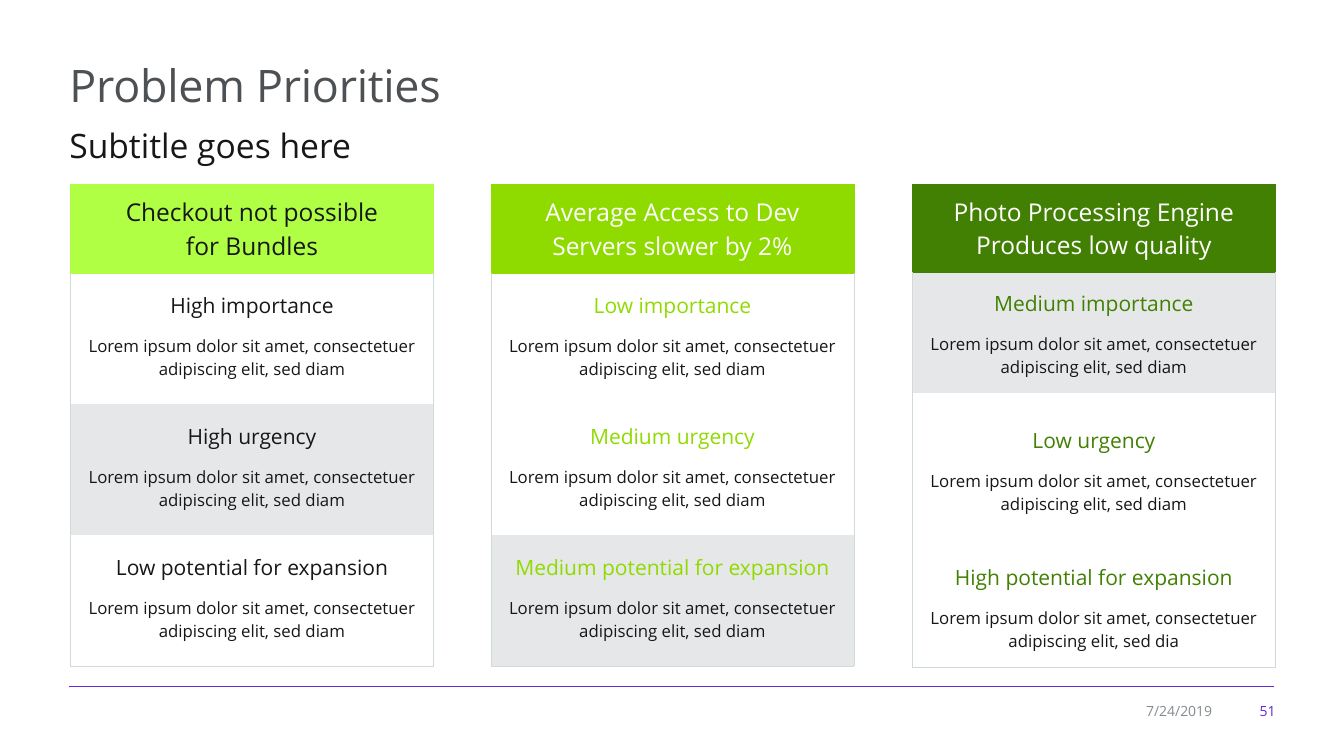
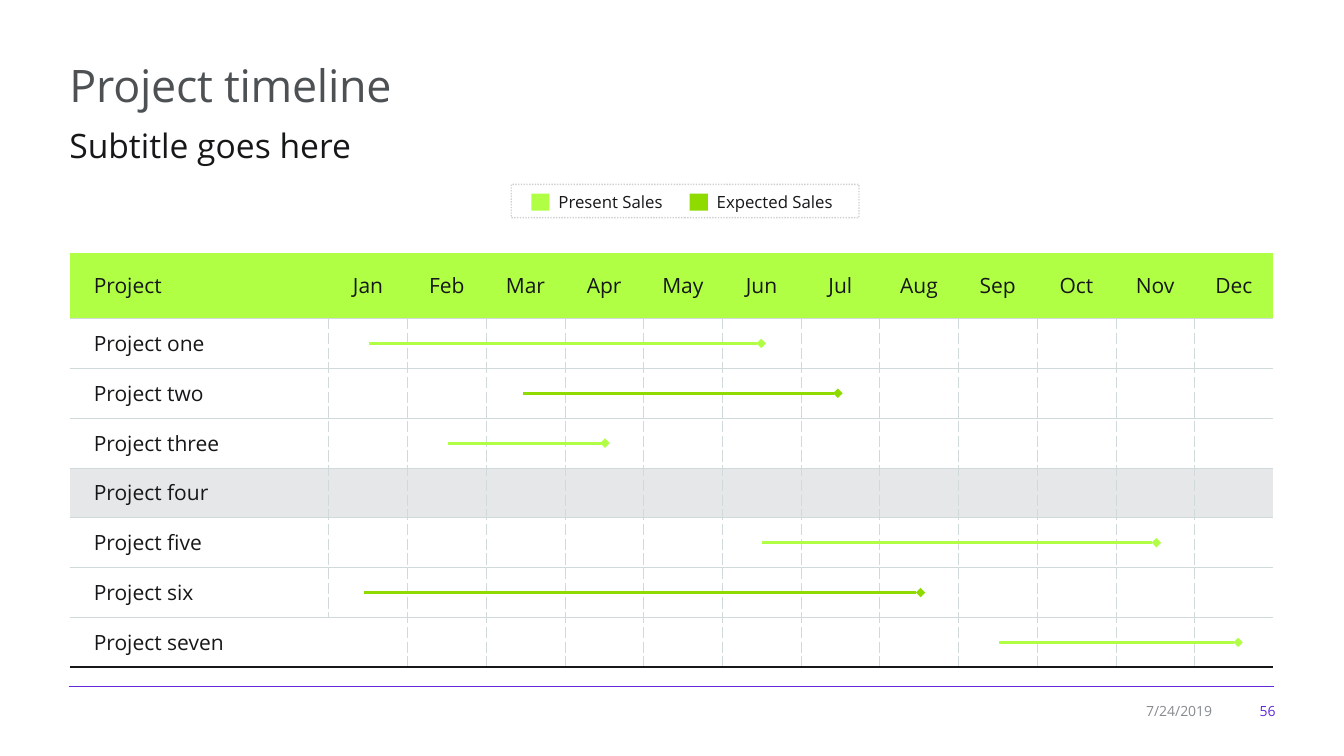
from typing import NamedTuple

from lxml import etree
from pptx import Presentation
from pptx.dml import color
from pptx.enum import dml, shapes, text
from pptx.oxml import ns
from pptx.util import Inches, Pt

FONT = "Open Sans"
INK, GRAY, TITLE, MUTED = "161718", "E6E7E8", "4D5154", "868B90"
WHITE, PURPLE, BORDER = "FFFFFF", "622AD8", "D1DADB"
LIME, GREEN, FOREST = "B0FF45", "8FDB00", "428003"
NO_STYLE = "{2D5ABB26-0587-4C30-8999-92F81FD0307C}"
LEFT, CENTER, RIGHT = text.PP_ALIGN.LEFT, text.PP_ALIGN.CENTER, text.PP_ALIGN.RIGHT
TOP, MIDDLE, BOTTOM = text.MSO_ANCHOR.TOP, text.MSO_ANCHOR.MIDDLE, text.MSO_ANCHOR.BOTTOM
LOREM = "Lorem ipsum dolor sit amet, consectetuer adipiscing elit, sed diam"


class Edge(NamedTuple):
    color: str
    width: float = 0.5
    dash: str = "solid"


class Card(NamedTuple):
    left: float
    fill: str
    head_color: str
    label_color: str
    heading: str
    labels: tuple[str, str, str]
    shaded: int
    heights: tuple[float, ...]
    last_text: str = LOREM


class Bar(NamedTuple):
    row: int
    start: float
    end: float
    color: str


class Key(NamedTuple):
    left: float
    width: float
    label: str
    color: str


EVEN_ROWS = (0.88, 0.51, 0.79, 0.51, 0.79, 0.51, 0.79)
CARDS = [
    Card(0.7, LIME, INK, INK, "Checkout not possible\nfor Bundles",
         ("High importance", "High urgency", "Low potential for expansion"), 1, EVEN_ROWS),
    Card(4.87, GREEN, WHITE, GREEN, "Average Access to Dev\nServers slower by 2%",
         ("Low importance", "Medium urgency", "Medium potential for expansion"), 2, EVEN_ROWS),
    Card(9.05, FOREST, WHITE, FOREST, "Photo Processing Engine\nProduces low quality",
         ("Medium importance", "Low urgency", "High potential for expansion"), 0,
         (0.87, 0.5, 0.7, 0.66, 0.7, 0.66, 0.7), LOREM[:-1]),
]
MONTHS = ["Jan", "Feb", "Mar", "Apr", "May", "Jun", "Jul", "Aug", "Sep", "Oct", "Nov", "Dec"]
PROJECTS = [f"Project {n}" for n in ("one", "two", "three", "four", "five", "six", "seven")]
SHADED_ROW = 4
BARS = [
    Bar(1, 3.66, 7.55, LIME),
    Bar(2, 5.19, 8.31, GREEN),
    Bar(3, 4.44, 6, LIME),
    Bar(5, 7.56, 11.47, LIME),
    Bar(6, 3.61, 9.13, GREEN),
    Bar(7, 9.91, 12.28, LIME),
]
KEYS = [Key(5.27, 1.32, "Present Sales", LIME), Key(6.84, 1.45, "Expected Sales", GREEN)]


def rgb(value: str) -> color.RGBColor:
    return color.RGBColor.from_string(value)


def write(tf, content: str, size: float, ink: str, align=LEFT) -> None:
    tf.text = content
    for p in tf.paragraphs:
        p.alignment = align
        for font in [p.font] + [r.font for r in p.runs]:
            font.name, font.size = FONT, Pt(size)
            font.color.rgb = rgb(ink)


def add_text(s, left: float, top: float, width: float, height: float, content: str,
             size: float, ink: str, align=LEFT, anchor=TOP, inset: float = 0.05, wrap: bool = True):
    sp = s.shapes.add_textbox(Inches(left), Inches(top), Inches(width), Inches(height))
    tf = sp.text_frame
    tf.word_wrap = wrap
    tf.vertical_anchor = anchor
    tf.margin_top = Inches(inset)
    write(tf, content, size, ink, align)
    return sp


def add_line(s, start: float, end: float, y: float, ink: str, width: float, tail: str = "none") -> None:
    cx = s.shapes.add_connector(shapes.MSO_CONNECTOR.STRAIGHT,
                                Inches(start), Inches(y), Inches(end), Inches(y))
    cx.line.color.rgb = rgb(ink)
    cx.line.width = Pt(width)
    ln = cx.line._get_or_add_ln()
    etree.SubElement(ln, ns.qn("a:tailEnd")).set("type", tail)
    etree.SubElement(cx._element.spPr, ns.qn("a:effectLst"))


def add_rect(s, left: float, top: float, width: float, height: float):
    sp = s.shapes.add_shape(shapes.MSO_SHAPE.RECTANGLE, Inches(left), Inches(top),
                            Inches(width), Inches(height))
    sp.shadow.inherit = False
    return sp


def add_table(s, left: float, top: float, widths: list[float], heights: list[float]):
    frame = s.shapes.add_table(len(heights), len(widths), Inches(left), Inches(top),
                               Inches(sum(widths)), Inches(sum(heights)))
    table = frame.table
    table.first_row = table.horz_banding = False
    table._tbl.tblPr.find(ns.qn("a:tableStyleId")).text = NO_STYLE
    for column, width in zip(table.columns, widths):
        column.width = Inches(width)
    for row, height in zip(table.rows, heights):
        row.height = Inches(height)
    return table


def style_cell(cell, fill: str | None, anchor, edges: dict[str, Edge]) -> None:
    cell.vertical_anchor = anchor
    if fill:
        cell.fill.solid()
        cell.fill.fore_color.rgb = rgb(fill)
    else:
        cell.fill.background()
    props = cell._tc.get_or_add_tcPr()
    for i, side in enumerate(side for side in "LRTB" if side in edges):
        edge = edges[side]
        ln = etree.Element(ns.qn(f"a:ln{side}"), w=str(Pt(edge.width)))
        paint = etree.SubElement(ln, ns.qn("a:solidFill"))
        etree.SubElement(paint, ns.qn("a:srgbClr"), val=edge.color)
        etree.SubElement(ln, ns.qn("a:prstDash"), val=edge.dash)
        props.insert(i, ln)


def add_base(prs, title: str, number: int):
    s = prs.slides.add_slide(prs.slide_layouts[6])
    add_line(s, 0.68, 12.64, 6.81, PURPLE, 0.75)
    sp = add_text(s, 0.59, 0.56, 12.16, 0.66, title, 32, TITLE, inset=0.01)
    sp.text_frame.paragraphs[0].runs[0].font._element.set("spc", "-20")
    add_text(s, 0.59, 1.14, 12.03, 0.54, "Subtitle goes here", 24, INK, inset=0.1)
    add_text(s, 12.24, 6.92, 0.51, 0.26, str(number), 10, PURPLE, RIGHT, MIDDLE)
    add_text(s, 11.17, 6.92, 0.95, 0.26, "7/24/2019", 10, MUTED, RIGHT, MIDDLE)
    return s


def add_card(s, card: Card) -> None:
    table = add_table(s, card.left, 1.83, [3.6], list(card.heights))
    head = table.cell(0, 0)
    write(head.text_frame, card.heading, 17.5, card.head_color, CENTER)
    style_cell(head, card.fill, MIDDLE, dict.fromkeys("LRTB", Edge(card.fill)))
    sides = dict.fromkeys("LR", Edge(BORDER))
    last = len(card.labels) - 1
    for i, title in enumerate(card.labels):
        fill = GRAY if i == card.shaded else None
        label, body = table.cell(2 * i + 1, 0), table.cell(2 * i + 2, 0)
        write(label.text_frame, title, 15, card.label_color, CENTER)
        style_cell(label, fill, BOTTOM, sides)
        write(body.text_frame, card.last_text if i == last else LOREM, 12, INK, CENTER)
        body.margin_top = Inches(0.1)
        style_cell(body, fill, TOP, sides | ({"B": Edge(BORDER)} if i == last else {}))


def timeline_edges(row: int, col: int) -> dict[str, Edge]:
    if row == 0:
        return dict.fromkeys("TB", Edge(LIME))
    last = row == len(PROJECTS)
    edges = {}
    if not (last and col == 0):
        edges["T"] = Edge(BORDER)
    if col > 0 and not (last and col == 1):
        edges["L"] = Edge(BORDER, dash="dash")
    if last:
        edges["B"] = Edge(INK, 1.5)
    return edges


def add_timeline(s) -> None:
    top, head = 2.51, 0.65
    step = (4.11 - head) / len(PROJECTS)
    widths = [2.57] + [(11.94 - 2.57) / len(MONTHS)] * len(MONTHS)
    table = add_table(s, 0.69, top, widths, [head] + [step] * len(PROJECTS))
    fills = {0: LIME, SHADED_ROW: GRAY}
    rows = [["Project"] + MONTHS] + [[name] + [""] * len(MONTHS) for name in PROJECTS]
    for i, row in enumerate(rows):
        for j, value in enumerate(row):
            cell = table.cell(i, j)
            write(cell.text_frame, value, 15, INK, CENTER if j else LEFT)
            if j == 0:
                cell.margin_left = Inches(0.24)
            style_cell(cell, fills.get(i), MIDDLE, timeline_edges(i, j))
    for bar in BARS:
        y = top + head + step * (bar.row - 0.5)
        add_line(s, bar.start, bar.end, y, bar.color, 2.25, "diamond")


def add_legend(s) -> None:
    for key in KEYS:
        swatch = add_rect(s, key.left, 1.92, 0.18, 0.17)
        swatch.fill.solid()
        swatch.fill.fore_color.rgb = rgb(key.color)
        swatch.line.fill.background()
        add_text(s, key.left + 0.17, 1.85, key.width, 0.3, key.label, 12, INK, wrap=False)
    box = add_rect(s, 5.07, 1.83, 3.45, 0.33)
    box.fill.background()
    box.line.color.rgb = rgb(INK)
    box.line.width = Pt(1)
    box.line.dash_style = dml.MSO_LINE.ROUND_DOT
    paint = box.line._get_or_add_ln().find(".//" + ns.qn("a:srgbClr"))
    etree.SubElement(paint, ns.qn("a:alpha"), val="20000")


def main() -> None:
    prs = Presentation()
    prs.slide_width, prs.slide_height = Inches(13.33), Inches(7.5)
    priorities = add_base(prs, "Problem Priorities", 51)
    for card in CARDS:
        add_card(priorities, card)
    timeline = add_base(prs, "Project timeline", 56)
    add_legend(timeline)
    add_timeline(timeline)
    prs.save("out.pptx")


if __name__ == "__main__":
    main()
